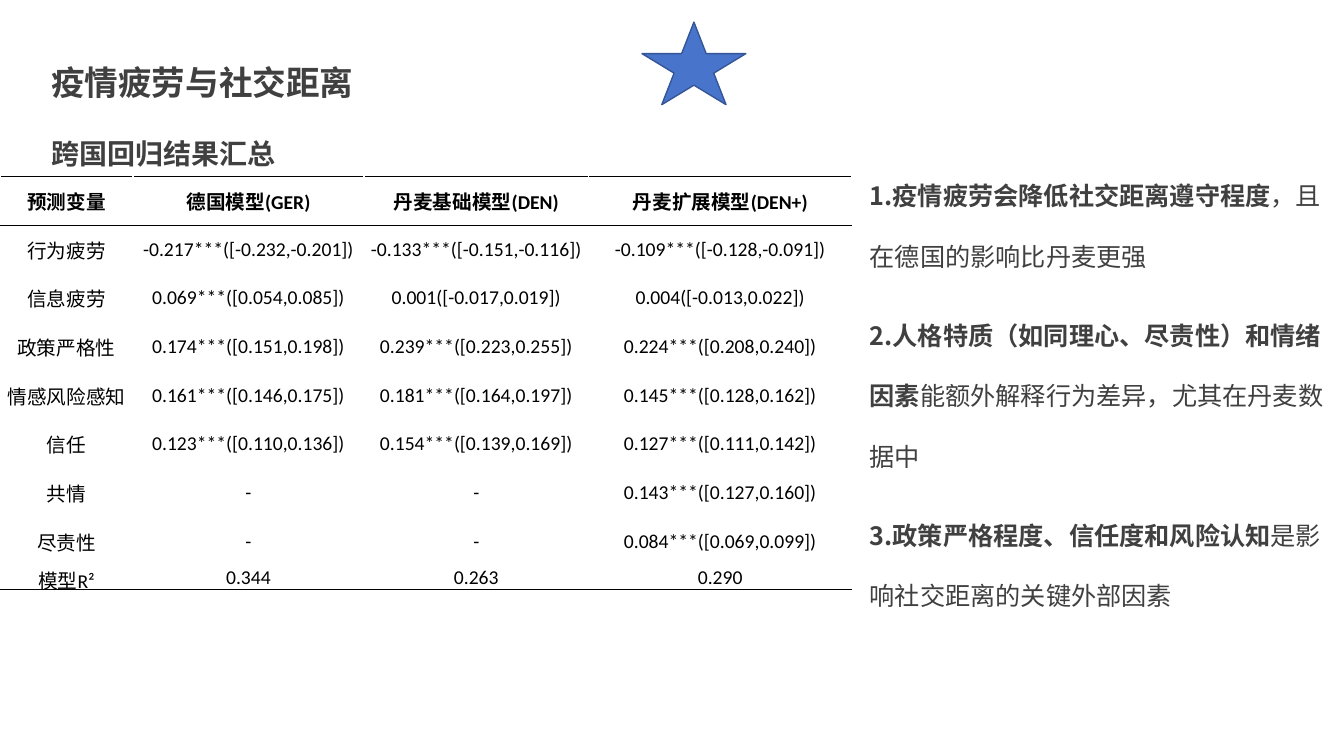
from lxml import etree
from pptx import Presentation
from pptx.dml.color import RGBColor
from pptx.enum.shapes import MSO_SHAPE
from pptx.enum.text import MSO_ANCHOR, PP_ALIGN
from pptx.oxml.ns import qn
from pptx.util import Pt

STAR = MSO_SHAPE.STAR_5_POINT
CENTER = PP_ALIGN.CENTER
MIDDLE = MSO_ANCHOR.MIDDLE

GREY, BLACK, WHITE = "404040", "000000", "FFFFFF"
COLUMN_WIDTHS = [95, 165, 160.5, 188]
ROW_HEIGHT, LAST_ROW_HEIGHT = 34.8, 14.5

REGRESSION_ROWS = [
    ["预测变量", "德国模型(GER)", "丹麦基础模型(DEN)", "丹麦扩展模型(DEN+)"],
    ["行为疲劳", "-0.217***([-0.232,-0.201])", "-0.133***([-0.151,-0.116])",
     "-0.109***([-0.128,-0.091])"],
    ["信息疲劳", "0.069***([0.054,0.085])", "0.001([-0.017,0.019])",
     "0.004([-0.013,0.022])"],
    ["政策严格性", "0.174***([0.151,0.198])", "0.239***([0.223,0.255])",
     "0.224***([0.208,0.240])"],
    ["情感风险感知", "0.161***([0.146,0.175])", "0.181***([0.164,0.197])",
     "0.145***([0.128,0.162])"],
    ["信任", "0.123***([0.110,0.136])", "0.154***([0.139,0.169])",
     "0.127***([0.111,0.142])"],
    ["共情", "-", "-", "0.143***([0.127,0.160])"],
    ["尽责性", "-", "-", "0.084***([0.069,0.099])"],
    ["模型R²", "0.344", "0.263", "0.290"],
]

FINDINGS = [
    ("疫情疲劳会降低社交距离遵守程度", "，且在德国的影响比丹麦更强"),
    ("人格特质（如同理心、尽责性）和情绪因素", "能额外解释行为差异，尤其在丹麦数据中"),
    ("政策严格程度、信任度和风险认知", "是影响社交距离的关键外部因素"),
]


def color(value):
    return RGBColor.from_string(value)


def add_span(para, text, *, size, bold=False, font="Arial", fill=GREY):
    span = para.add_run()
    span.text = text
    span.font.size = Pt(size)
    span.font.bold = bold
    span.font.name = font
    span.font.color.rgb = color(fill)


def add_box(page, left, top, width, height):
    frame = page.shapes.add_textbox(Pt(left), Pt(top), Pt(width), Pt(height)).text_frame
    frame.word_wrap = True
    return frame


def add_para(frame, index):
    """Return the paragraph at index, reusing the one a new frame already has."""
    para = frame.add_paragraph() if index else frame.paragraphs[0]
    para.line_spacing = 2.0
    return para


def number_para(para):
    properties = para._p.get_or_add_pPr()
    etree.SubElement(properties, qn("a:buFont"), typeface="+mj-lt")
    etree.SubElement(properties, qn("a:buAutoNum"), type="arabicPeriod")


def add_headings(page):
    frame = add_box(page, 29.5, 12.2, 458.6, 113.8)
    for index, (text, size) in enumerate([("疫情疲劳与社交距离", 24), ("跨国回归结果汇总", 20)]):
        add_span(add_para(frame, index), text, size=size, bold=True)


def add_findings(page):
    frame = add_box(page, 614.2, 103.7, 345.6, 339)
    for index, (claim, detail) in enumerate(FINDINGS):
        para = add_para(frame, index)
        para.space_before = Pt(3 if index else 0)
        para.space_after = Pt(10.3)
        number_para(para)
        add_span(para, claim, size=18, bold=True)
        add_span(para, detail, size=18)


def rule_above(row, row_count):
    """Colour and width of the rule above a row; row_count means the table's foot."""
    return {0: (BLACK, 1), 1: (BLACK, 0.5), row_count: (BLACK, 1)}.get(row, (WHITE, 1))


def set_borders(cell, top, bottom):
    side = (WHITE, 1)
    borders = {"a:lnL": side, "a:lnR": side, "a:lnT": top, "a:lnB": bottom}
    properties = cell._tc.get_or_add_tcPr()
    for index, (tag, (stroke, width)) in enumerate(borders.items()):
        line = etree.Element(qn(tag), w=str(Pt(width)))
        fill = etree.SubElement(line, qn("a:solidFill"))
        etree.SubElement(fill, qn("a:srgbClr"), val=stroke)
        properties.insert(index, line)


def fill_cell(cell, text, *, bold):
    cell.margin_left = cell.margin_right = Pt(5)
    cell.margin_top = cell.margin_bottom = Pt(0)
    cell.vertical_anchor = MIDDLE
    cell.fill.background()
    para = cell.text_frame.paragraphs[0]
    para.alignment = CENTER
    add_span(para, text, size=14, bold=bold, font="Calibri", fill=BLACK)


def add_regression_table(page):
    count = len(REGRESSION_ROWS)
    heights = [ROW_HEIGHT] * (count - 1) + [LAST_ROW_HEIGHT]
    table = page.shapes.add_table(
        count, len(COLUMN_WIDTHS), Pt(0), Pt(126),
        Pt(sum(COLUMN_WIDTHS)), Pt(sum(heights))).table
    table.first_row = table.horz_banding = False
    for column, width in zip(table.columns, COLUMN_WIDTHS):
        column.width = Pt(width)
    for row, (texts, height) in enumerate(zip(REGRESSION_ROWS, heights)):
        table.rows[row].height = Pt(height)
        for column, text in enumerate(texts):
            cell = table.cell(row, column)
            fill_cell(cell, text, bold=row == 0)
            set_borders(cell, rule_above(row, count), rule_above(row + 1, count))


def add_star(page):
    star = page.shapes.add_shape(STAR, Pt(458.6), Pt(15.8), Pt(74.2), Pt(59))
    star.shadow.inherit = False
    star.fill.solid()
    star.fill.fore_color.rgb = color("4874CB")
    star.line.color.rgb = color("355696")
    star.line.width = Pt(1)


def main():
    deck = Presentation()
    deck.slide_width, deck.slide_height = Pt(960), Pt(540)
    page = deck.slides.add_slide(deck.slide_layouts[6])
    add_headings(page)
    add_regression_table(page)
    add_findings(page)
    add_star(page)
    deck.save("out.pptx")


if __name__ == "__main__":
    main()
